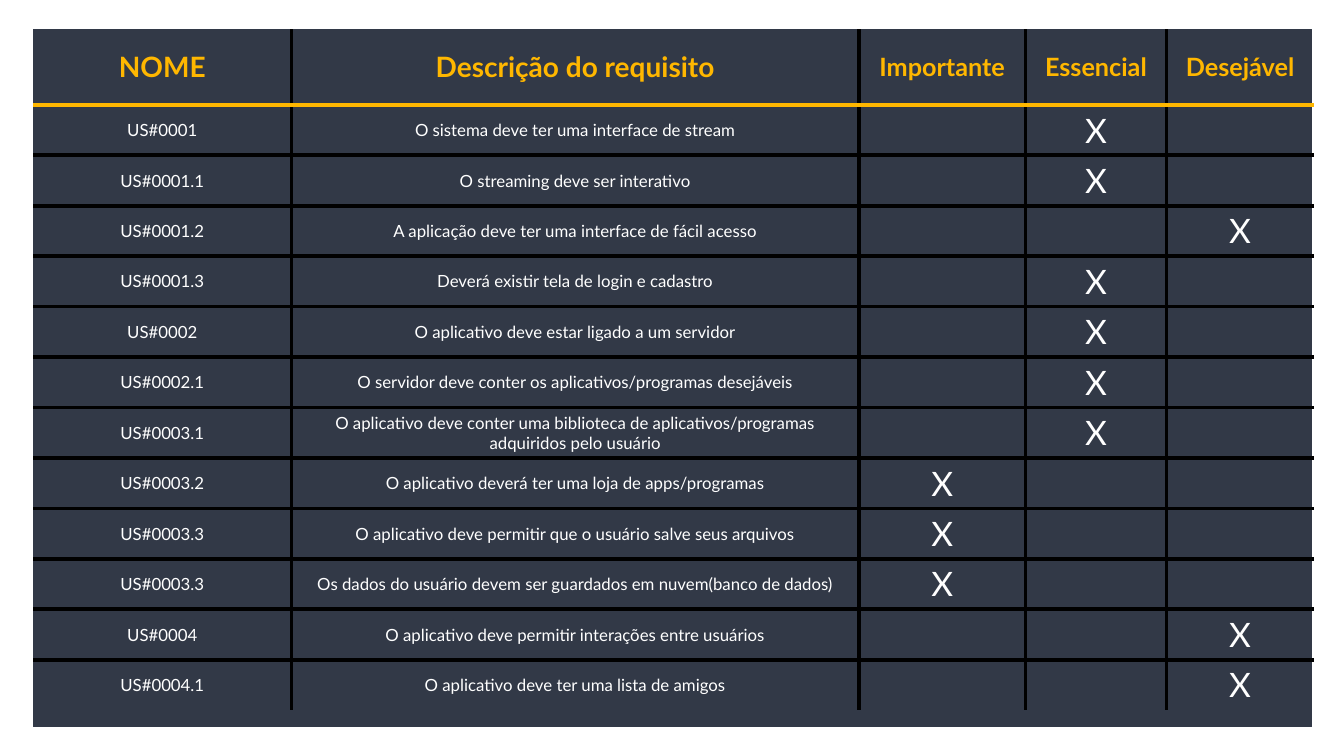
from dataclasses import dataclass
from typing import Optional

from lxml.etree import SubElement
from pptx import Presentation
from pptx.dml.color import RGBColor
from pptx.enum.shapes import MSO_SHAPE as Shape
from pptx.enum.text import MSO_ANCHOR as Anchor, PP_ALIGN as Align
from pptx.oxml.ns import qn
from pptx.slide import Slide
from pptx.table import Table, _Cell as Cell
from pptx.util import Emu, Pt

EMU_PER_PX = 9144


@dataclass(frozen=True)
class Theme:
    font: str = "Lato"
    panel: str = "323947"
    accent: str = "FFB700"
    text: str = "FFFFFF"
    rule: str = "000000"
    rule_width: int = 3
    body_size: int = 12
    mark_size: int = 24


@dataclass(frozen=True)
class Column:
    title: str
    width: int
    title_size: int


@dataclass(frozen=True)
class Requirement:
    name: str
    description: str
    priority: str


THEME = Theme()
LEFT, TOP = 33, 29
HEADER_HEIGHT, ROW_HEIGHT = 75, 50
IMPORTANT, ESSENTIAL, DESIRABLE = "Importante", "Essencial", "Desejável"
COLUMNS = [
    Column("NOME", 256, 20),
    Column("Descrição do requisito", 563, 20),
    Column(IMPORTANT, 165, 18),
    Column(ESSENTIAL, 140, 18),
    Column(DESIRABLE, 146, 18),
]
REQUIREMENTS = [
    Requirement("US#0001", "O sistema deve ter uma interface de stream", ESSENTIAL),
    Requirement("US#0001.1", "O streaming deve ser interativo", ESSENTIAL),
    Requirement("US#0001.2", "A aplicação deve ter uma interface de fácil acesso", DESIRABLE),
    Requirement("US#0001.3", "Deverá existir tela de login e cadastro", ESSENTIAL),
    Requirement("US#0002", "O aplicativo deve estar ligado a um servidor", ESSENTIAL),
    Requirement("US#0002.1", "O servidor deve conter os aplicativos/programas desejáveis", ESSENTIAL),
    Requirement(
        "US#0003.1",
        "O aplicativo deve conter uma biblioteca de aplicativos/programas adquiridos pelo usuário",
        ESSENTIAL,
    ),
    Requirement("US#0003.2", "O aplicativo deverá ter uma loja de apps/programas", IMPORTANT),
    Requirement("US#0003.3", "O aplicativo deve permitir que o usuário salve seus arquivos", IMPORTANT),
    Requirement("US#0003.3", "Os dados do usuário devem ser guardados em nuvem(banco de dados)", IMPORTANT),
    Requirement("US#0004", "O aplicativo deve permitir interações entre usuários", DESIRABLE),
    Requirement("US#0004.1", "O aplicativo deve ter uma lista de amigos", DESIRABLE),
]


def px(length: int) -> Emu:
    return Emu(length * EMU_PER_PX)


def add_panel(page: Slide) -> None:
    panel = page.shapes.add_shape(Shape.RECTANGLE, px(LEFT), px(TOP), px(1268), px(692))
    panel.shadow.inherit = False
    panel.fill.solid()
    panel.fill.fore_color.rgb = RGBColor.from_string(THEME.panel)
    panel.line.color.rgb = RGBColor.from_string(THEME.panel)
    panel.line.width = Pt(1)


def add_border(cell: Cell, side: str, color: Optional[str]) -> None:
    properties = cell._tc.get_or_add_tcPr()
    border = SubElement(properties, qn(f"a:ln{side}"), w=str(Pt(THEME.rule_width)))
    if color is None:
        SubElement(border, qn("a:noFill"))
    else:
        fill = SubElement(border, qn("a:solidFill"))
        SubElement(fill, qn("a:srgbClr"), val=color)


def style_cell(cell: Cell, row: int, column: int) -> None:
    last_row, last_column = len(REQUIREMENTS), len(COLUMNS) - 1
    above = {0: None, 1: THEME.accent}.get(row, THEME.rule)
    below = {0: THEME.accent, last_row: None}.get(row, THEME.rule)
    add_border(cell, "L", THEME.rule if column > 0 else None)
    add_border(cell, "R", THEME.rule if column < last_column else None)
    add_border(cell, "T", above)
    add_border(cell, "B", below)
    cell.fill.background()
    cell.vertical_anchor = Anchor.MIDDLE


def write(cell: Cell, text: str, size: int, color: str, bold: bool = False) -> None:
    para = cell.text_frame.paragraphs[0]
    para.alignment = Align.CENTER
    span = para.add_run()
    span.text = text
    span.font.name = THEME.font
    span.font.size = Pt(size)
    span.font.bold = bold
    span.font.color.rgb = RGBColor.from_string(color)


def fill_header(table: Table) -> None:
    table.rows[0].height = px(HEADER_HEIGHT)
    for index, column in enumerate(COLUMNS):
        table.columns[index].width = px(column.width)
        write(table.cell(0, index), column.title, column.title_size, THEME.accent, True)


def fill_requirement(table: Table, row: int, requirement: Requirement) -> None:
    table.rows[row].height = px(ROW_HEIGHT)
    write(table.cell(row, 0), requirement.name, THEME.body_size, THEME.text)
    write(table.cell(row, 1), requirement.description, THEME.body_size, THEME.text)
    marked = [column.title for column in COLUMNS].index(requirement.priority)
    write(table.cell(row, marked), "X", THEME.mark_size, THEME.text)


def add_requirements(page: Slide) -> None:
    row_count = len(REQUIREMENTS) + 1
    width = sum(column.width for column in COLUMNS)
    height = HEADER_HEIGHT + ROW_HEIGHT * len(REQUIREMENTS)
    table = page.shapes.add_table(
        row_count, len(COLUMNS), px(LEFT), px(TOP), px(width), px(height)
    ).table
    table.first_row = False
    table.horz_banding = False
    for row in range(row_count):
        for column in range(len(COLUMNS)):
            style_cell(table.cell(row, column), row, column)
    fill_header(table)
    for row, requirement in enumerate(REQUIREMENTS, start=1):
        fill_requirement(table, row, requirement)


def main() -> None:
    deck = Presentation()
    deck.slide_width, deck.slide_height = px(1333), px(750)
    page = deck.slides.add_slide(deck.slide_layouts[6])
    add_panel(page)
    add_requirements(page)
    deck.save("out.pptx")


if __name__ == "__main__":
    main()
